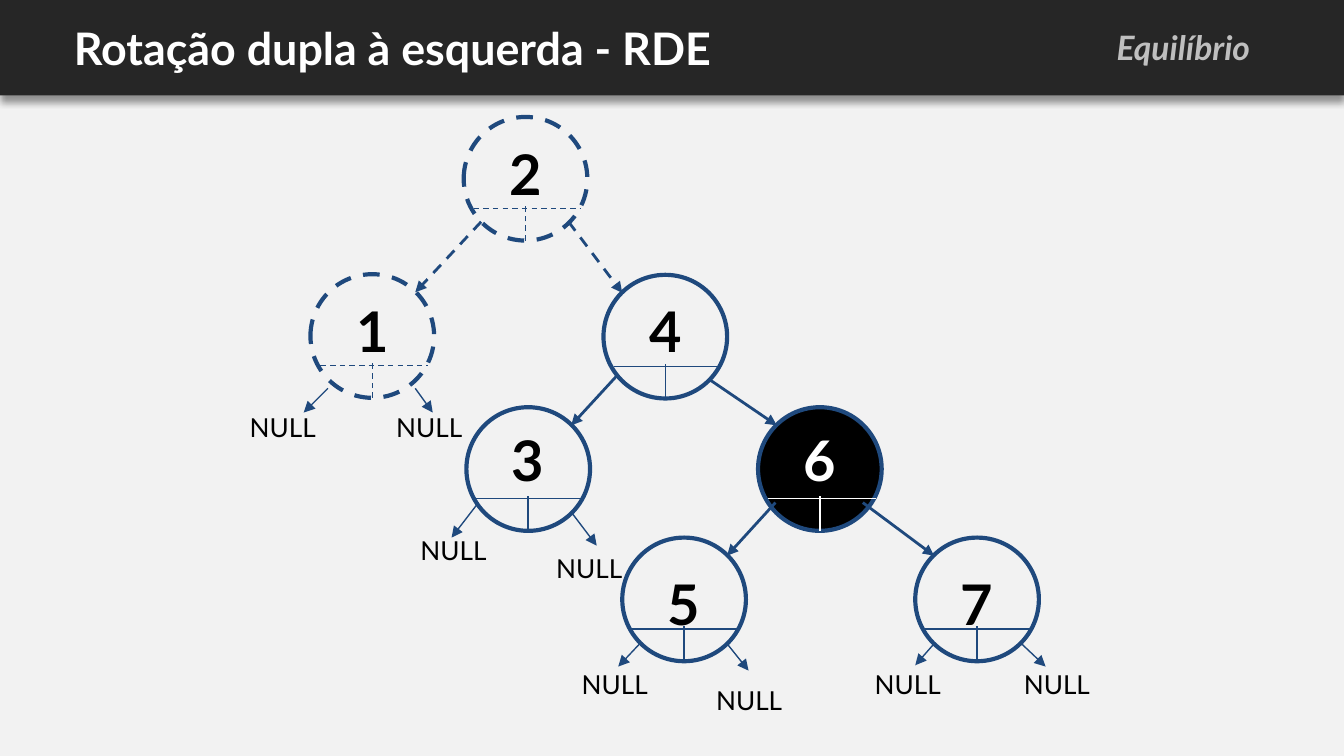
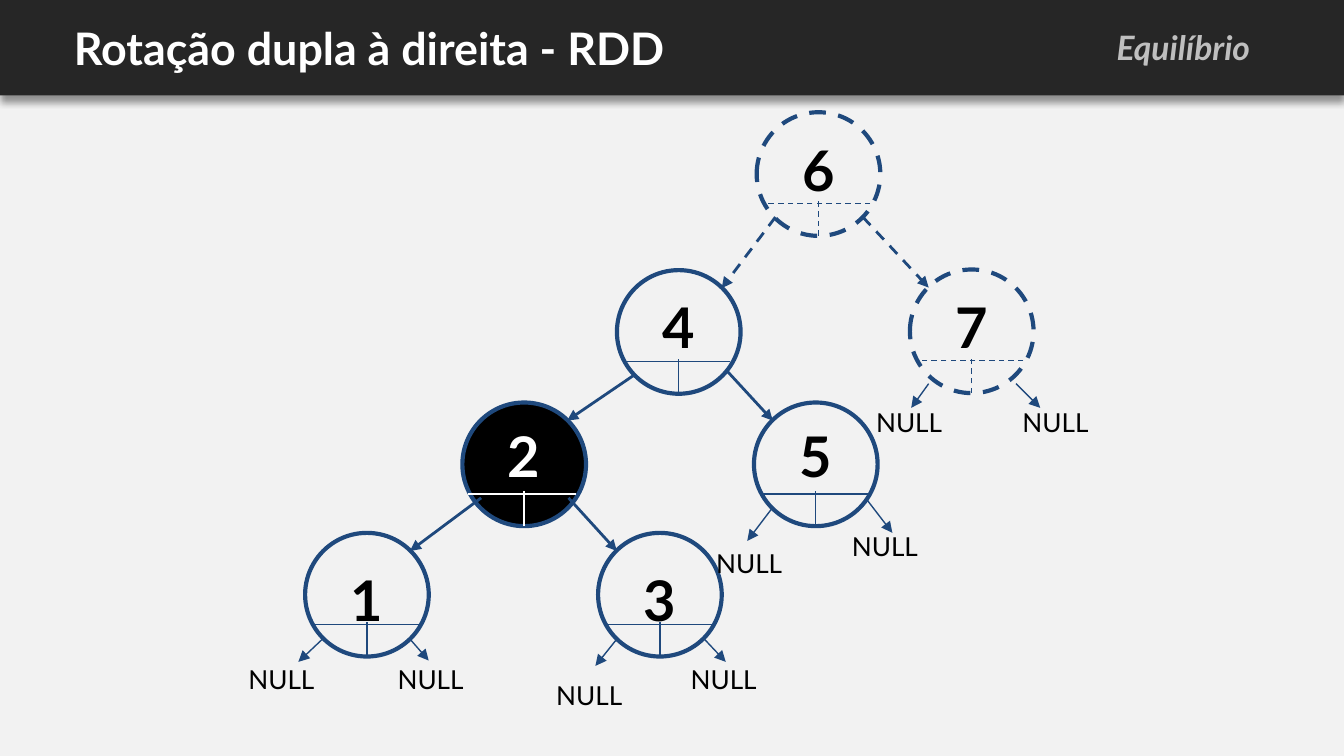
from dataclasses import dataclass

from lxml.etree import SubElement
from pptx import Presentation
from pptx.dml.color import RGBColor
from pptx.enum.dml import MSO_LINE
from pptx.enum.shapes import MSO_CONNECTOR, MSO_SHAPE
from pptx.enum.text import MSO_ANCHOR, MSO_AUTO_SIZE, PP_ALIGN
from pptx.oxml.ns import qn
from pptx.util import Inches, Pt

# Lengths are cells of a square grid: 100 columns across the slide.
COLUMNS, ROWS = 100, 56.25
CELL = Inches(10) / COLUMNS
FONT = "Lato"
COLORS = {
    "background": "F2F2F2",
    "band": "262626",
    "title": "FFFFFF",
    "topic": "BFBFBF",
    "edge": "1F497D",
    "ink": "000000",
    "inverse": "FFFFFF",
}

BAND_H = 7.1
DIAMETER = 9.2
DIGIT_W, DIGIT_H = 6.2, 5.3
NULL_W, NULL_H = 7.3, 2.6
THIN, MEDIUM, THICK = 0.75, 1.5, 2.25


@dataclass
class Node:
    x: float
    y: float
    digit_dy: float
    dashed: bool = False
    filled: bool = False


@dataclass
class Frame:
    """Places the tree on the slide, mirrored left to right if asked."""
    mirrored: bool = False
    dy: float = 0

    def left(self, x, w=0):
        return COLUMNS - x - w if self.mirrored else x

    def box(self, x, y, w, h):
        return cells(self.left(x, w), y + self.dy, w, h)

    def point(self, x, y):
        return cells(self.left(x), y + self.dy)

    def key(self, key):
        return 8 - key if self.mirrored else key


NODES = {
    2: Node(34.5, 8.7, 0.7, dashed=True),
    1: Node(23.1, 20.4, 0.7, dashed=True),
    4: Node(44.9, 20.45, 0.65),
    3: Node(34.7, 30.3, 0.4),
    6: Node(56.4, 30.3, 0.4, filled=True),
    5: Node(46.3, 40, 1.4),
    7: Node(68.1, 40, 1.4),
}
# parent, child, start of the arrow within the parent
LINKS = [
    (2, 1, (1.3, 7.8)), (2, 4, (7.8, 7.8)),
    (4, 3, (1.1, 7.4)), (4, 6, (7.9, 7.8)),
    (6, 5, (1.3, 7.1)), (6, 7, (7.8, 7.1)),
]
# node, then offsets from it: arrow start, arrow end, label corner
NULLS = [
    (1, (1.3, 8.5), (-0.5, 10.3), (-5.5, 9.2)),
    (1, (7.8, 8.5), (9.1, 10.3), (5.4, 9.2)),
    (3, (0.9, 7.1), (-1.1, 9.7), (-4.4, 8.5)),
    (3, (7.8, 7.8), (9.7, 10.3), (5.7, 9.8)),
    (5, (1.3, 7.9), (-0.3, 9.6), (-4, 8.7)),
    (5, (7.8, 7.9), (9.4, 9.9), (6, 9.9)),
    (7, (1.4, 7.9), (0, 9.5), (-4, 8.7)),
    (7, (7.9, 7.9), (9.7, 9.6), (7.1, 8.7)),
]


def cells(*values):
    return [round(v * CELL) for v in values]


def rgb(name):
    return RGBColor.from_string(COLORS[name])


def set_line(line, color, width, dashed=False):
    line.color.rgb = rgb(color)
    line.width = Pt(width)
    if dashed:
        line.dash_style = MSO_LINE.DASH


def write(sp, text, size, color, align=PP_ALIGN.LEFT, bold=False, italic=False,
          inset=1, inset_y=1):
    tf = sp.text_frame
    tf.word_wrap = True
    tf.margin_left, tf.margin_right = cells(inset, inset)
    tf.margin_top, tf.margin_bottom = cells(inset_y, inset_y)
    p = tf.paragraphs[0]
    p.text = text
    p.alignment = align
    font = p.font
    font.name, font.size = FONT, Pt(size)
    font.bold, font.italic = bold, italic
    font.color.rgb = rgb(color)
    return tf


def add_line(shapes, start, end, color, width, dashed=False, arrow=False):
    cxn = shapes.add_connector(MSO_CONNECTOR.STRAIGHT, *start, *end)
    set_line(cxn.line, color, width, dashed)
    if arrow:
        SubElement(cxn.line._get_or_add_ln(), qn("a:tailEnd"), type="triangle")
    SubElement(cxn._element.spPr, qn("a:effectLst"))


def add_band(s):
    band = s.shapes.add_shape(MSO_SHAPE.RECTANGLE, *cells(0, 0, COLUMNS, BAND_H))
    band.fill.solid()
    band.fill.fore_color.rgb = rgb("band")
    band.line.fill.background()
    effects = SubElement(band._element.spPr, qn("a:effectLst"))
    shadow = SubElement(effects, qn("a:outerShdw"), blurRad=str(Pt(4)),
                        dist=str(Pt(3)), dir="5400000", algn="t", rotWithShape="0")
    color = SubElement(shadow, qn("a:srgbClr"), val=COLORS["ink"])
    SubElement(color, qn("a:alpha"), val="40000")


def add_header(s, title):
    add_band(s)
    sp = s.shapes.title
    s.shapes._spTree.append(sp._element)  # bring the title in front of the band
    sp.left, sp.top, sp.width, sp.height = cells(4.5, 0, 90.5, BAND_H)
    tf = write(sp, title, 24, "title", bold=True)
    tf.vertical_anchor = MSO_ANCHOR.MIDDLE
    tf.auto_size = MSO_AUTO_SIZE.NONE
    topic = s.shapes.add_textbox(*cells(67.9, 1.5, 26.1, 4))
    tf = write(topic, "Equilíbrio", 18, "topic", PP_ALIGN.RIGHT, bold=True,
               italic=True, inset_y=0.5)
    tf.auto_size = MSO_AUTO_SIZE.SHAPE_TO_FIT_TEXT


def add_node(shapes, frame, key, node):
    """Draws the circle, its two pointer fields and its key."""
    x, y = node.x, node.y
    circle = shapes.add_shape(MSO_SHAPE.OVAL, *frame.box(x, y, DIAMETER, DIAMETER))
    circle.shadow.inherit = False
    set_line(circle.line, "edge", THICK, node.dashed)
    if node.filled:
        circle.fill.solid()
        circle.fill.fore_color.rgb = rgb("ink")
    else:
        circle.fill.background()

    divider = "inverse" if node.filled else "edge"
    middle = x + DIAMETER / 2
    for start, end in [((middle, y + DIAMETER), (middle, y + 6.6)),
                       ((x + 0.75, y + 6.8), (x + 8.75, y + 6.8))]:
        add_line(shapes, frame.point(*start), frame.point(*end), divider, THIN,
                 node.dashed)

    digit = shapes.add_textbox(
        *frame.box(middle - DIGIT_W / 2, y + node.digit_dy, DIGIT_W, DIGIT_H))
    write(digit, str(frame.key(key)), 30, "inverse" if node.filled else "ink",
          PP_ALIGN.CENTER, bold=True)


def add_link(shapes, frame, parent, child, start):
    """Joins a parent to the upper corner of the child that faces it."""
    corner = 7.8 if child.x < parent.x else 1.4
    add_line(shapes, frame.point(parent.x + start[0], parent.y + start[1]),
             frame.point(child.x + corner, child.y + 1.35),
             "edge", MEDIUM, parent.dashed, arrow=True)


def add_null(shapes, frame, node, *offsets):
    start, end, corner = [(node.x + dx, node.y + dy) for dx, dy in offsets]
    add_line(shapes, frame.point(*start), frame.point(*end), "edge", THIN, arrow=True)
    label = shapes.add_textbox(*frame.box(*corner, NULL_W, NULL_H))
    write(label, "NULL", 14, "ink")


def add_tree(s, frame):
    shapes = s.shapes.add_group_shape().shapes
    for key, node in NODES.items():
        add_node(shapes, frame, key, node)
    for parent, child, start in LINKS:
        add_link(shapes, frame, NODES[parent], NODES[child], start)
    for key, *offsets in NULLS:
        add_null(shapes, frame, NODES[key], *offsets)


def main():
    prs = Presentation()
    prs.slide_width, prs.slide_height = cells(COLUMNS, ROWS)
    fill = prs.slide_master.background.fill
    fill.solid()
    fill.fore_color.rgb = rgb("background")
    for title, frame in [
        ("Rotação dupla à esquerda - RDE", Frame()),
        ("Rotação dupla à direita - RDD", Frame(mirrored=True, dy=-0.35)),
    ]:
        s = prs.slides.add_slide(prs.slide_layouts.get_by_name("Title Only"))
        add_header(s, title)
        add_tree(s, frame)
    prs.save("out.pptx")


if __name__ == "__main__":
    main()
